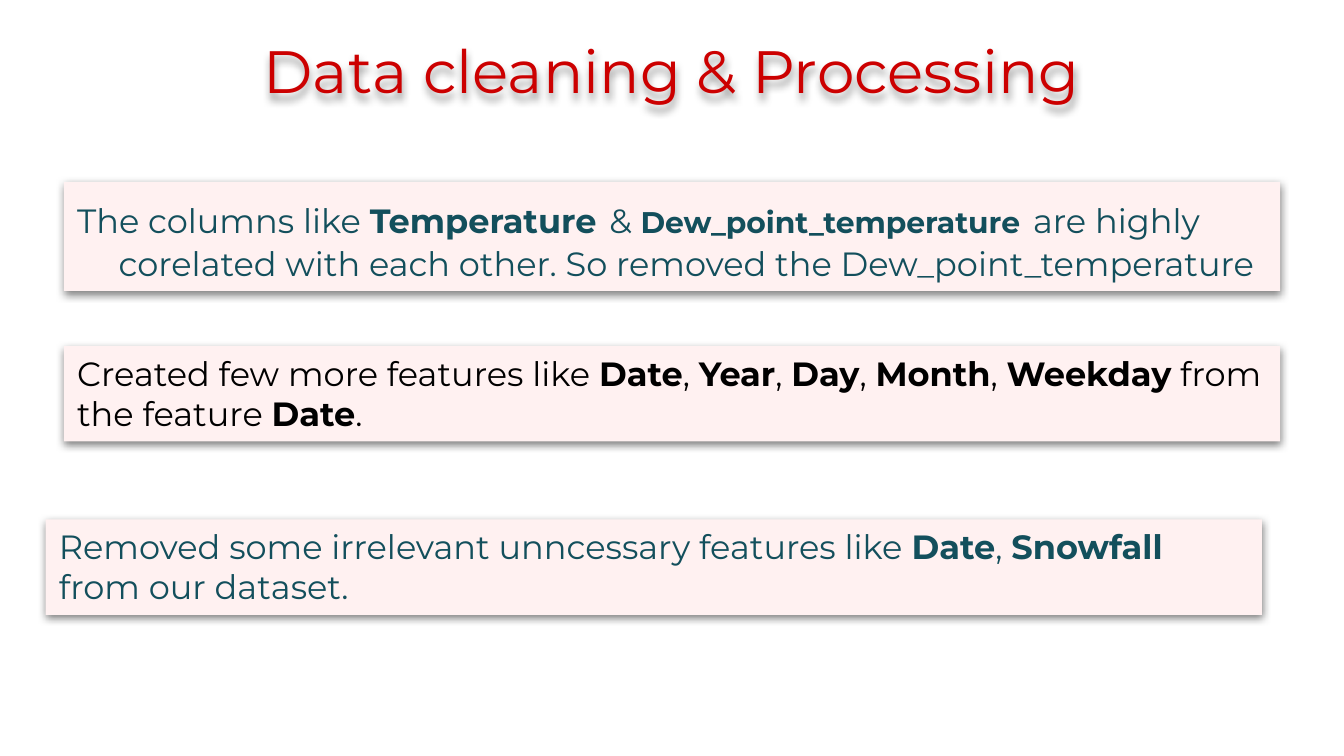
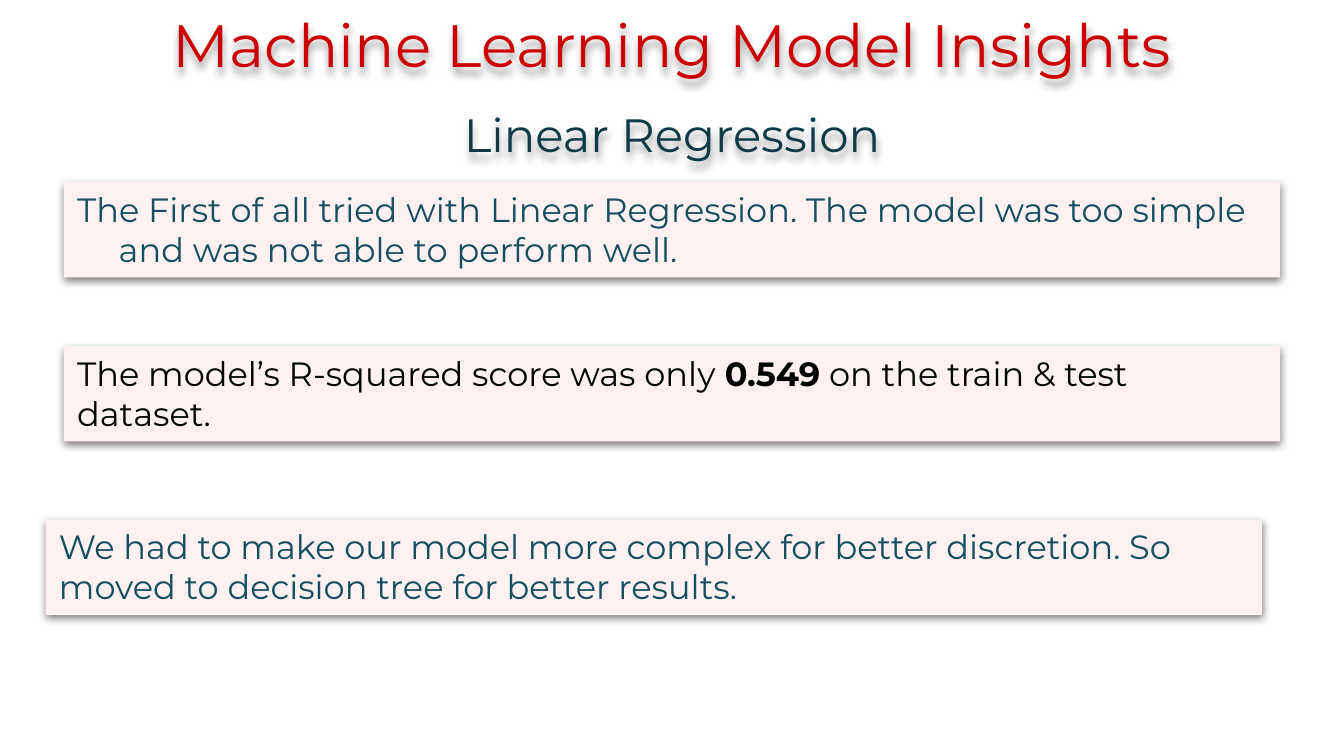
"""Build two slides on data cleaning and linear regression insights."""
from typing import NamedTuple

from lxml.etree import SubElement
from pptx import Presentation
from pptx.dml.color import RGBColor
from pptx.enum.shapes import MSO_SHAPE
from pptx.enum.text import MSO_ANCHOR, MSO_AUTO_SIZE, PP_ALIGN
from pptx.oxml.ns import qn
from pptx.shapes.autoshape import Shape
from pptx.slide import Slide
from pptx.text.text import TextFrame, _Run as TextRun
from pptx.util import Emu, Pt

EMU_PER_PX = 4572
SLIDE_WIDTH, SLIDE_HEIGHT = 2000, 1125
FONT = "Montserrat"
COLORS = {
    "title": "CC0000",
    "subtitle": "0E3B45",
    "teal": "134F5C",
    "black": "000000",
    "panel": "FFF1F1",
}
HEADING_LEFT, HEADING_WIDTH, HEADING_HEIGHT = 68, 1864, 126
PANEL_WIDTH, PANEL_HEIGHT = 1810, 142
TITLE_SIZE, SUBTITLE_SIZE, BODY_SIZE = 32, 25, 18


class Heading(NamedTuple):
    """A centred line of shadowed text."""

    text: str
    top: int
    size: int = TITLE_SIZE
    color: str = "title"


class Piece(NamedTuple):
    """A stretch of panel text with one format."""

    text: str
    bold: bool = False
    size: int = BODY_SIZE


class PanelStyle(NamedTuple):
    """The place and text style of one panel row."""

    left: int
    top: int
    color: str
    hanging: int = 0


class Panel(NamedTuple):
    """The contents of one panel."""

    pieces: list[Piece]
    height: int = PANEL_HEIGHT


class Page(NamedTuple):
    """The contents of one slide."""

    headings: list[Heading]
    panels: list[Panel]


class Shadow(NamedTuple):
    """A downward shadow, in points and percent."""

    blur: float
    distance: float
    opacity: int


HEADING_SHADOW = Shadow(4, 3, 40)
PANEL_SHADOW = Shadow(4.5, 1.5, 50)
PANEL_STYLES = [
    PanelStyle(95, 271, "teal", 62),
    PanelStyle(95, 515, "black"),
    PanelStyle(68, 773, "teal"),
]


def alternate(*texts: str) -> list[Piece]:
    """Make every second text bold."""
    return [Piece(text, index % 2 == 1) for index, text in enumerate(texts)]


PAGES = [
    Page(
        [Heading("Data cleaning & Processing", 30)],
        [
            Panel(
                [
                    Piece("The columns like "),
                    Piece("Temperature", True),
                    Piece(" ", True, 24),
                    Piece("& "),
                    Piece("Dew_point_temperature", True, 16),
                    Piece(" ", True, 24),
                    Piece("are highly corelated with each other. "
                          "So removed the Dew_point_temperature"),
                ],
                162,
            ),
            Panel(alternate(
                "Created few more features like ", "Date", ", ", "Year", ", ", "Day",
                ", ", "Month", ", ", "Weekday", " from the feature ", "Date", ".",
            )),
            Panel(alternate(
                "Removed some irrelevant unncessary features like ",
                "Date", ", ", "Snowfall", " from our dataset.",
            )),
        ],
    ),
    Page(
        [
            Heading("Machine Learning Model Insights", -8),
            Heading("Linear Regression", 138, SUBTITLE_SIZE, "subtitle"),
        ],
        [
            Panel(alternate("The First of all tried with Linear Regression. The model "
                            "was too simple and was not able to perform well.")),
            Panel(alternate("The model’s R-squared score was only ", "0.549",
                            " on the train & test dataset.")),
            Panel(alternate("We had to make our model more complex for better discretion. "
                            "So moved to decision tree for better results.")),
        ],
    ),
]


def px(length: int) -> Emu:
    """Turn px into EMU."""
    return Emu(length * EMU_PER_PX)


def rgb(name: str) -> RGBColor:
    """Look up a named colour."""
    return RGBColor.from_string(COLORS[name])


def add_shadow(shape: Shape, shadow: Shadow) -> None:
    """Give a shape a black shadow below it."""
    shape.shadow.inherit = False
    effects = shape._element.spPr.find(qn("a:effectLst"))
    outer = SubElement(
        effects, qn("a:outerShdw"), blurRad=str(Pt(shadow.blur)),
        dist=str(Pt(shadow.distance)), dir="5400000", algn="t", rotWithShape="0",
    )
    color = SubElement(outer, qn("a:srgbClr"), val=COLORS["black"])
    SubElement(color, qn("a:alpha"), val=str(shadow.opacity * 1000))


def format_run(run: TextRun, size: int, color: str, bold: bool = False) -> None:
    """Set the font of a run."""
    run.font.size = Pt(size)
    run.font.bold = bold
    run.font.color.rgb = rgb(color)
    run.font.name = FONT


def set_frame(frame: TextFrame, vertical: int) -> None:
    """Set wrapping, margins and anchor of a text frame."""
    frame.word_wrap = True
    frame.vertical_anchor = MSO_ANCHOR.TOP
    frame.margin_left = frame.margin_right = px(20)
    frame.margin_top = frame.margin_bottom = px(vertical)


def draw_heading(slide: Slide, heading: Heading) -> None:
    """Draw a centred heading with shadowed letters."""
    box = slide.shapes.add_textbox(
        px(HEADING_LEFT), px(heading.top), px(HEADING_WIDTH), px(HEADING_HEIGHT)
    )
    add_shadow(box, HEADING_SHADOW)
    set_frame(box.text_frame, 20)
    paragraph = box.text_frame.paragraphs[0]
    paragraph.text = heading.text
    paragraph.alignment = PP_ALIGN.CENTER
    format_run(paragraph.runs[0], heading.size, heading.color)


def draw_panel(slide: Slide, panel: Panel, style: PanelStyle) -> None:
    """Draw a shadowed panel with its mixed text."""
    shape = slide.shapes.add_shape(
        MSO_SHAPE.RECTANGLE, px(style.left), px(style.top), px(PANEL_WIDTH), px(panel.height)
    )
    shape.fill.solid()
    shape.fill.fore_color.rgb = rgb("panel")
    shape.line.fill.background()
    add_shadow(shape, PANEL_SHADOW)
    frame = shape.text_frame
    set_frame(frame, 10)
    frame.auto_size = MSO_AUTO_SIZE.SHAPE_TO_FIT_TEXT
    paragraph = frame.paragraphs[0]
    paragraph.alignment = PP_ALIGN.LEFT
    if style.hanging:
        properties = paragraph._p.get_or_add_pPr()
        properties.set("marL", str(px(style.hanging)))
        properties.set("indent", str(px(-style.hanging)))
    for piece in panel.pieces:
        run = paragraph.add_run()
        run.text = piece.text
        format_run(run, piece.size, style.color, piece.bold)


def main() -> None:
    """Build and save the presentation."""
    presentation = Presentation()
    presentation.slide_width = px(SLIDE_WIDTH)
    presentation.slide_height = px(SLIDE_HEIGHT)
    for page in PAGES:
        slide = presentation.slides.add_slide(presentation.slide_layouts[6])
        title, *subtitles = page.headings
        draw_heading(slide, title)
        for panel, style in zip(page.panels, PANEL_STYLES):
            draw_panel(slide, panel, style)
        for subtitle in subtitles:
            draw_heading(slide, subtitle)
    presentation.save("out.pptx")


if __name__ == "__main__":
    main()
